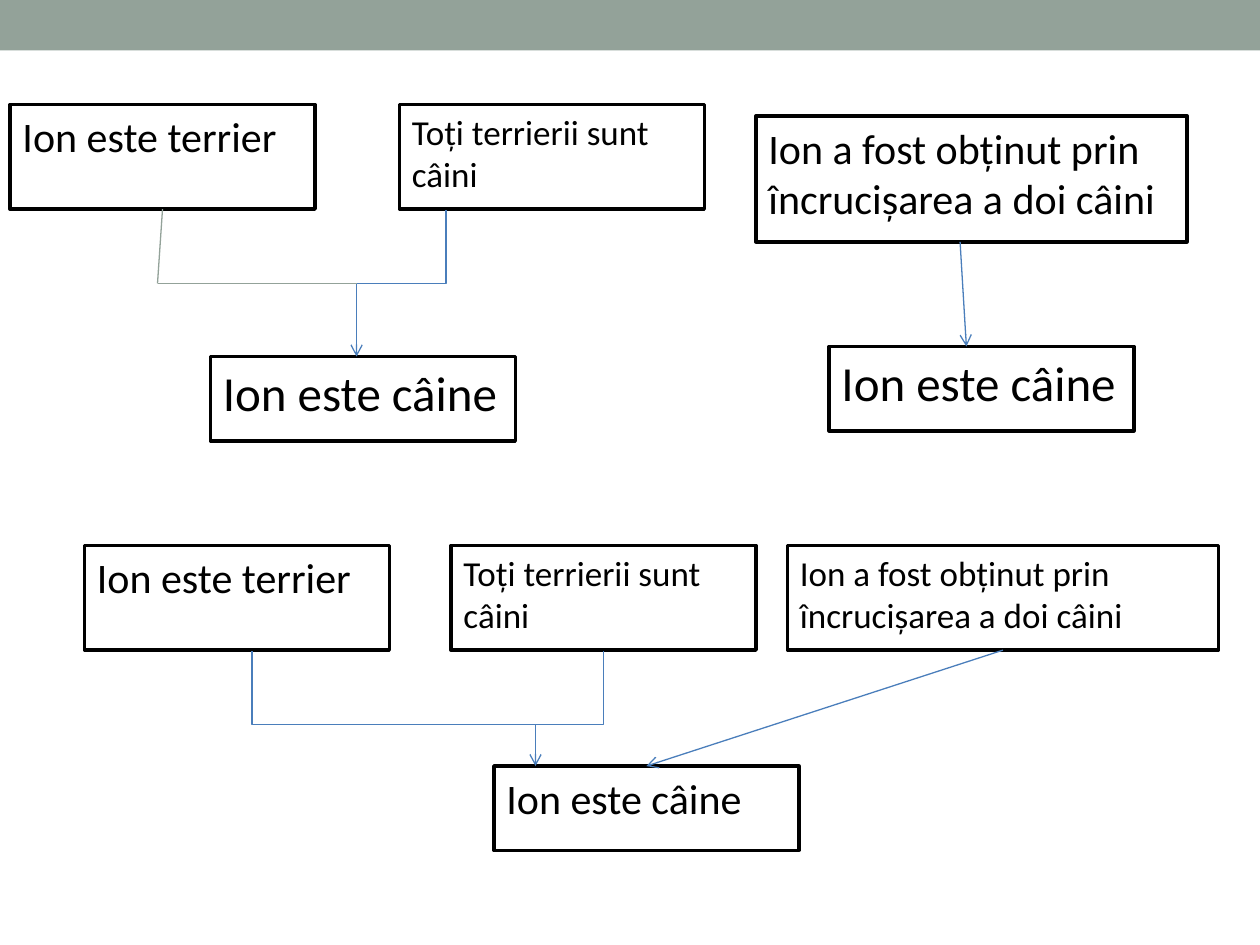
from lxml import etree
from pptx import Presentation
from pptx.dml.color import RGBColor
from pptx.enum.shapes import MSO_CONNECTOR, MSO_SHAPE
from pptx.enum.text import MSO_ANCHOR, PP_ALIGN
from pptx.oxml.ns import qn
from pptx.util import Inches, Pt

RECTANGLE = MSO_SHAPE.RECTANGLE
STRAIGHT, ELBOW = MSO_CONNECTOR.STRAIGHT, MSO_CONNECTOR.ELBOW
LEFT, TOP = PP_ALIGN.LEFT, MSO_ANCHOR.TOP
TOP_SIDE, BOTTOM_SIDE = 0, 2

BLACK = RGBColor(0x00, 0x00, 0x00)
WHITE = RGBColor(0xFF, 0xFF, 0xFF)
BLUE = RGBColor(0x4A, 0x7E, 0xBB)
SAGE = RGBColor(0x93, 0xA2, 0x99)

# Content: the statements and the boxes that hold them
TERRIER = "Ion este terrier"
RULE = "Toți terrierii sunt câini"
PARENTS = "Ion a fost obținut prin încrucișarea a doi câini"
DOG = "Ion este câine"
NARROW, WIDE = 2.42, 3.42

# name: (text, font size, left, top, width, height)
BOXES = {
    "rule, joint": (RULE, 20, 3.58, 4.33, NARROW, 0.83),
    "parents, joint": (PARENTS, 20, 6.25, 4.33, WIDE, 0.83),
    "conclusion, joint": (DOG, 24, 3.92, 6.08, NARROW, 0.67),
    "terrier": (TERRIER, 24, 0.08, 0.83, NARROW, 0.83),
    "rule": (RULE, 20, 3.17, 0.83, NARROW, 0.83),
    "conclusion, left": (DOG, 28, 1.67, 2.83, NARROW, 0.67),
    "parents": (PARENTS, 24, 6, 0.92, WIDE, 1),
    "conclusion, right": (DOG, 28, 6.58, 2.75, NARROW, 0.67),
    "terrier, joint": (TERRIER, 24, 0.67, 4.33, NARROW, 0.83),
}

# Elbows run down from the start, then across to the end
ELBOWS = [
    ((2, 5.17), (4.08, 5.75)),
    ((4.79, 5.17), (4.08, 5.75)),
    ((3.54, 1.67), (2.83, 2.25)),
]

# Straight lines: start, end, colour, arrowhead, box at start, box at end
LINES = [
    ((4.25, 5.75), (4.25, 6.08), BLUE, True, None, None),
    ((7.96, 5.17), (5.13, 6.08), BLUE, True, "parents, joint", "conclusion, joint"),
    ((7.62, 1.92), (7.67, 2.75), BLUE, True, None, None),
    ((2.83, 2.25), (2.83, 2.83), BLUE, True, None, None),
    ((1.29, 1.67), (1.25, 2.25), SAGE, False, "terrier", None),
    ((1.25, 2.25), (2.83, 2.25), SAGE, False, None, None),
]


def add_rectangle(page, left, top, width, height, fill):
    box = page.shapes.add_shape(
        RECTANGLE, Inches(left), Inches(top), Inches(width), Inches(height))
    box.shadow.inherit = False
    box.fill.solid()
    box.fill.fore_color.rgb = fill
    return box


def add_statement(page, text, size, *place):
    box = add_rectangle(page, *place, WHITE)
    box.line.color.rgb = BLACK
    box.line.width = Pt(2)
    frame = box.text_frame
    frame.word_wrap = True
    frame.vertical_anchor = TOP
    frame.text = text
    paragraph = frame.paragraphs[0]
    paragraph.alignment = LEFT
    font = paragraph.runs[0].font
    font.name, font.size, font.color.rgb = "Calibri", Pt(size), BLACK
    return box


def add_line(page, kind, start, end, color, arrow=False):
    line = page.shapes.add_connector(
        kind, *(Inches(value) for value in (*start, *end)))
    line.line.color.rgb = color
    line.line.width = Pt(0.75)
    if arrow:
        etree.SubElement(line.line._get_or_add_ln(), qn("a:tailEnd"), type="arrow")
    etree.SubElement(line._element.spPr, qn("a:effectLst"))
    return line


def add_elbow(page, start, end):
    """Lay out a two-part elbow on its side, then turn it by 90 degrees."""
    (x1, y1), (x2, y2) = start, end
    middle_x, middle_y = (x1 + x2) / 2, (y1 + y2) / 2
    half_width, half_height = (y2 - y1) / 2, (x1 - x2) / 2
    line = add_line(page, ELBOW,
                    (middle_x - half_width, middle_y - half_height),
                    (middle_x + half_width, middle_y + half_height), BLUE)
    properties = line._element.spPr
    properties.find(qn("a:xfrm")).set("rot", str(90 * 60000))
    properties.find(qn("a:prstGeom")).set("prst", "bentConnector2")


def main():
    deck = Presentation()
    deck.slide_width, deck.slide_height = Inches(10), Inches(7.5)
    page = deck.slides.add_slide(deck.slide_layouts[6])

    # Top band
    band = add_rectangle(page, 0, 0, 10, 0.4, SAGE)
    band.line.fill.background()

    # Statements
    boxes = {name: add_statement(page, *box) for name, box in BOXES.items()}

    # Links from premises to conclusions
    for start, end in ELBOWS:
        add_elbow(page, start, end)
    for start, end, color, arrow, source, target in LINES:
        line = add_line(page, STRAIGHT, start, end, color, arrow)
        if source:
            line.begin_connect(boxes[source], BOTTOM_SIDE)
        if target:
            line.end_connect(boxes[target], TOP_SIDE)

    deck.save("out.pptx")


if __name__ == "__main__":
    main()
